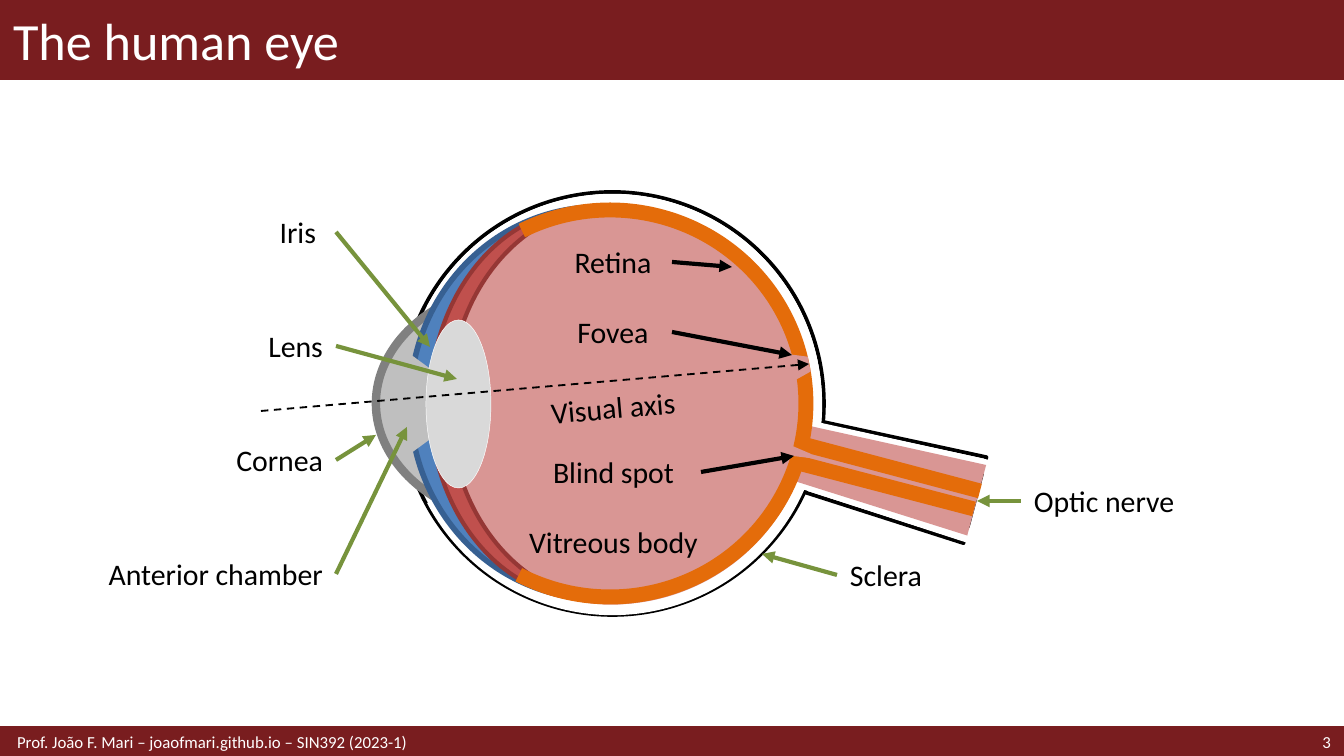
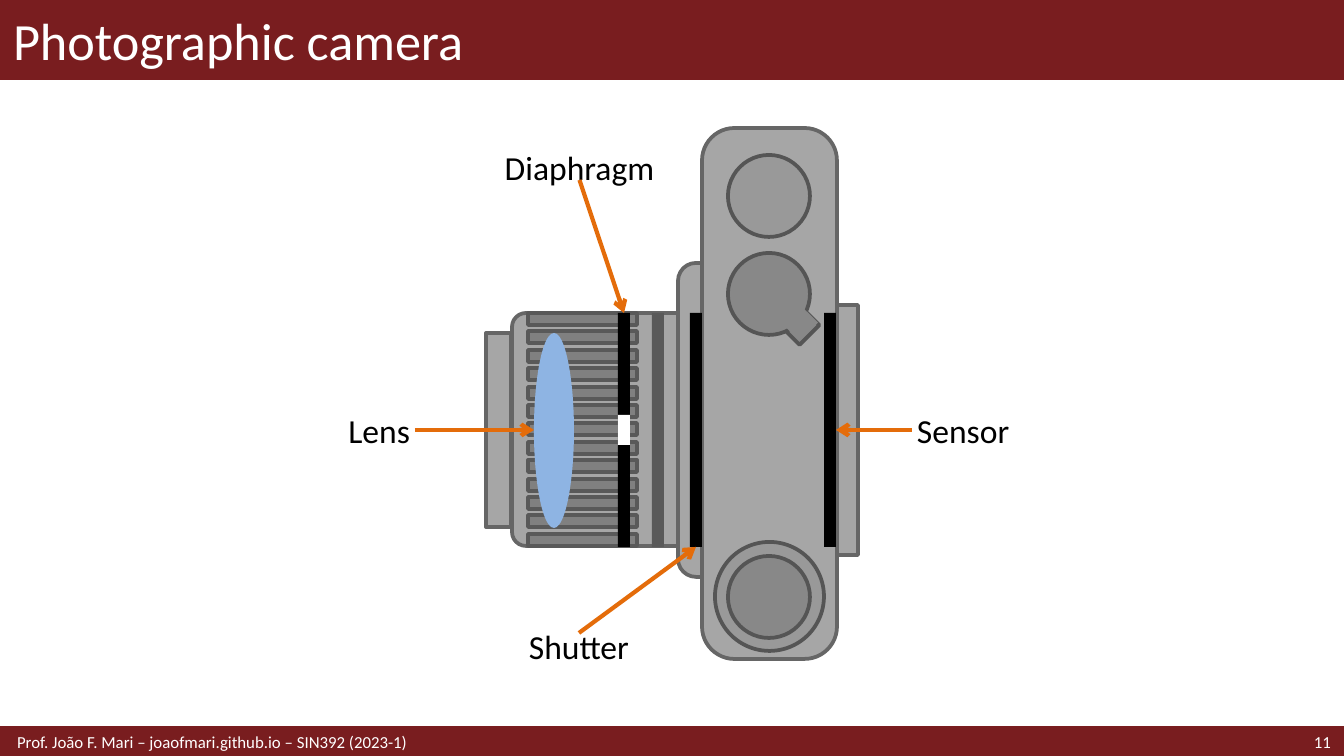
from dataclasses import dataclass

from lxml.etree import SubElement
from pptx import Presentation
from pptx.dml.color import RGBColor
from pptx.enum.dml import MSO_LINE
from pptx.enum.shapes import MSO_CONNECTOR, MSO_SHAPE as Kind
from pptx.enum.text import MSO_ANCHOR, MSO_AUTO_SIZE, PP_ALIGN as Align
from pptx.oxml.ns import qn
from pptx.util import Pt

EMU_PER_PX = 914400 / 134.4
TOP, LEFT, BOTTOM, RIGHT = range(4)


@dataclass(frozen=True)
class Theme:
    """Colours, font and type sizes of the deck."""

    font: str = "Calibri"
    title_size: int = 28
    footer_size: int = 9
    eye_size: int = 16
    camera_size: int = 18
    maroon: str = "791D1F"
    white: str = "FFFFFF"
    black: str = "000000"
    orange: str = "E46C0A"
    green: str = "77933C"
    pink: str = "D99694"
    blue: str = "4F81BD"
    dark_blue: str = "376092"
    red: str = "C0504D"
    dark_red: str = "953735"
    cornea: str = "808080"
    chamber: str = "BFBFBF"
    eye_lens: str = "D9D9D9"
    casing: str = "A6A6A6"
    casing_edge: str = "666666"
    dial: str = "999999"
    knob: str = "888888"
    dial_edge: str = "555555"
    ridge: str = "808080"
    ridge_edge: str = "595959"
    glass: str = "8EB4E3"


THEME = Theme()


def px(length):
    """Turn pixels into EMU."""
    return round(length * EMU_PER_PX)


def rgb(code):
    """Turn a hex code into a colour."""
    return RGBColor.from_string(code)


def write_text(frame, text, *, size, color=THEME.black, align=Align.LEFT, insets=(13, 7, 13, 7)):
    """Fill a text frame with one formatted paragraph."""
    frame.word_wrap = True
    frame.auto_size = MSO_AUTO_SIZE.NONE
    frame.vertical_anchor = MSO_ANCHOR.MIDDLE
    frame.margin_left, frame.margin_top, frame.margin_right, frame.margin_bottom = map(px, insets)
    para = frame.paragraphs[0]
    para.alignment = align
    span = para.add_run()
    span.text = text
    span.font.name = THEME.font
    span.font.size = Pt(size)
    span.font.color.rgb = rgb(color)


@dataclass
class Region:
    """A box on a page that places parts relative to its corner."""

    page: object
    left: int
    top: int
    width: int
    height: int

    def place(self, x, y, width, height):
        """Give the page position of a part in EMU."""
        return px(self.left + x), px(self.top + y), px(width), px(height)

    def shape(self, kind, box, fill=None, line=None, weight=2, turn=0, adjust=()):
        """Add a preset shape."""
        shape = self.page.shapes.add_shape(kind, *self.place(*box))
        shape.shadow.inherit = False
        shape.rotation = turn
        for index, value in enumerate(adjust):
            shape.adjustments[index] = value
        if fill:
            shape.fill.solid()
            shape.fill.fore_color.rgb = rgb(fill)
        else:
            shape.fill.background()
        if line:
            shape.line.color.rgb = rgb(line)
            shape.line.width = Pt(weight)
        else:
            shape.line.fill.background()
        return shape

    def arc(self, box, start, end, line, weight):
        """Add an open arc running clockwise between two angles in degrees."""
        self.shape(Kind.ARC, box, None, line, weight, adjust=(start * 0.6, end * 0.6))

    def label(self, text, box, turn=0, **style):
        """Add a text box."""
        label = self.page.shapes.add_textbox(*self.place(*box))
        label.rotation = turn
        write_text(label.text_frame, text, **style)
        return label

    def line(self, start, end, color, weight, tip=None, dash=None):
        """Add a straight line between points or (shape, side) joints."""
        joints = [not isinstance(stop[0], int) for stop in (start, end)]
        spots = [(0, 0) if joint else self.place(*stop, 0, 0)[:2]
                 for joint, stop in zip(joints, (start, end))]
        link = self.page.shapes.add_connector(MSO_CONNECTOR.STRAIGHT, *spots[0], *spots[1])
        if joints[0]:
            link.begin_connect(*start)
        if joints[1]:
            link.end_connect(*end)
        link.line.color.rgb = rgb(color)
        link.line.width = Pt(weight)
        if dash:
            link.line.dash_style = dash
        properties = link.element.spPr
        if tip:
            SubElement(properties.get_or_add_ln(), qn("a:tailEnd"), type=tip)
        SubElement(properties, qn("a:effectLst"))


def add_bands(page):
    """Draw the top and bottom bands and hand them to the page's layout."""
    layout = page.slide_layout
    for holder in list(layout.placeholders):
        if holder.placeholder_format.idx >= 10:
            holder.element.getparent().remove(holder.element)
    sheet = Region(page, 0, 0, 1344, 756)
    bands = [
        sheet.shape(Kind.RECTANGLE, (0, 0, 1344, 79), THEME.maroon, THEME.maroon, 1),
        sheet.shape(Kind.RECTANGLE, (0, 728, 1344, 28), THEME.maroon, THEME.maroon, 2),
    ]
    for band in bands:
        layout.shapes.element.append(band.element)


def add_page(deck, title, number):
    """Add a page with title and footer and return its content region."""
    page = deck.slides.add_slide(deck.slide_layouts[5])
    if len(deck.slides) == 1:
        add_bands(page)
    sheet = Region(page, 0, 0, 1344, 756)
    heading = page.shapes.title
    heading.left, heading.top, heading.width, heading.height = sheet.place(0, 0, 1344, 79)
    write_text(heading.text_frame, title, size=THEME.title_size, color=THEME.white)
    footer = dict(size=THEME.footer_size, color=THEME.white)
    sheet.label(number, (1191, 728, 153, 28), align=Align.RIGHT, **footer)
    sheet.label("Prof. João F. Mari – joaofmari.github.io – SIN392 (2023-1)",
                (4, 728, 922, 28), **footer)
    return Region(page, 0, 80, 1344, 646)


def draw_eyeball(area):
    """Draw the cross-section of the eye, from the sclera inwards."""
    area.shape(Kind.TRAPEZOID, (829, 288, 89, 210), THEME.white, THEME.black, turn=285, adjust=[0.115])
    area.shape(Kind.OVAL, (401, 112, 423, 423), THEME.white, THEME.black)
    area.shape(Kind.OVAL, (376, 202, 306, 243), THEME.chamber, THEME.black)
    area.arc((407, 118, 411, 413), 208, 152, THEME.white, 4.5)
    for left, width in ((419, 386), (442, 340)):
        area.shape(Kind.OVAL, (left, 131, width, 386), THEME.pink, THEME.pink, 8)
    area.arc((376, 202, 323, 243), 130, 229, THEME.cornea, 4.5)
    area.shape(Kind.MOON, (410, 127, 188, 392), THEME.blue, THEME.dark_blue, 3, adjust=[0.115])
    area.shape(Kind.TRAPEZOID, (372, 306, 105, 36), THEME.chamber, turn=90, adjust=[0.73])
    area.line((992, 463), (789, 397), THEME.white, 8)
    area.line((1027, 396), (805, 347), THEME.white, 8)
    area.shape(Kind.TRAPEZOID, (848, 300, 73, 191), THEME.pink, turn=285, adjust=[0.115])
    area.line((974, 429), (802, 384), THEME.orange, 8)
    area.shape(Kind.MOON, (430, 128, 159, 391), THEME.red, THEME.dark_red, 2.25, adjust=[0.12])
    area.arc((414, 130, 392, 387), 243, 118, THEME.orange, 8)
    area.shape(Kind.OVAL, (426, 240, 65, 168), THEME.eye_lens, THEME.white, 0.25)
    area.shape(Kind.TRAPEZOID, (777, 272, 35, 30), THEME.pink, turn=79, adjust=[0.33])
    area.line((261, 331), (809, 284), THEME.black, 1, "triangle", MSO_LINE.DASH)
    area.line((980, 411), (806, 365), THEME.orange, 8)
    area.shape(Kind.TRAPEZOID, (789, 357, 13, 30), THEME.pink, turn=105, adjust=[0.33])


def label_eye(area):
    """Name the parts of the eye and point at them."""
    size = THEME.eye_size

    def point(label, side, tip, color):
        area.line((label, side), tip, color, 2.25, "triangle")

    front = [("Iris", 20, (430, 267)), ("Lens", 13, (457, 299)),
             ("Cornea", 13, (376, 355)), ("Anterior chamber", 13, (407, 347))]
    for row, (text, gap, tip) in enumerate(front):
        label = area.label(text, (90, 131 + 114 * row, 246, 42), size=size,
                           align=Align.RIGHT, insets=(13, 7, gap, 7))
        point(label, RIGHT, tip, THEME.green)

    inside = [("Retina", 118, 161, 0, (732, 187)), ("Fovea", 118, 231, 0, (792, 275)),
              ("Visual axis", 208, 306, 355, None), ("Blind spot", 175, 371, 0, (794, 376)),
              ("Vitreous body", 211, 441, 0, None)]
    for text, width, top, turn, tip in inside:
        label = area.label(text, (613 - width // 2, top, width, 42), turn,
                           size=size, align=Align.CENTER)
        if tip:
            point(label, RIGHT, tip, THEME.black)

    back = [("Optic nerve", (1021, 400, 180, 42), (977, 421)),
            ("Sclera", (837, 474, 134, 42), (762, 474))]
    for text, box, tip in back:
        point(area.label(text, box, size=size), LEFT, tip, THEME.green)


def draw_camera(area):
    """Draw the camera from above and return the parts that get labels."""
    casing = (THEME.casing, THEME.casing_edge)
    knob = (THEME.knob, THEME.dial_edge)
    area.shape(Kind.RECTANGLE, (486, 253, 25, 194), *casing)
    area.shape(Kind.ROUNDED_RECTANGLE, (512, 233, 241, 233), *casing, adjust=[0.06])
    area.shape(Kind.RECTANGLE, (750, 225, 108, 250), *casing)
    area.shape(Kind.ROUNDED_RECTANGLE, (678, 183, 108, 314), *casing)
    area.shape(Kind.ROUNDED_RECTANGLE, (702, 48, 135, 531), *casing, adjust=[0.24])
    area.shape(Kind.OVAL, (728, 75, 82, 82), THEME.dial, THEME.dial_edge)
    area.shape(Kind.RECTANGLE, (786, 232, 28, 27), *knob, turn=315)
    area.shape(Kind.OVAL, (715, 462, 109, 109), THEME.dial, THEME.dial_edge)
    for top in (476, 173):
        area.shape(Kind.OVAL, (728, top, 82, 82), *knob)
    area.shape(Kind.RECTANGLE, (786, 228, 26, 28), THEME.knob, turn=315)
    for row in range(13):
        area.shape(Kind.RECTANGLE, (528, 233 + round(18.4 * row), 109, 12),
                   THEME.ridge, THEME.ridge_edge)

    def bar(left, color):
        return area.shape(Kind.RECTANGLE, (left, 233, 12, 234), color)

    bar(652, THEME.ridge_edge)
    area.shape(Kind.OVAL, (534, 253, 40, 195), THEME.glass)
    shutter, diaphragm, sensor = [bar(left, THEME.black) for left in (690, 618, 824)]
    area.shape(Kind.RECTANGLE, (618, 335, 12, 30), THEME.white)
    return shutter, diaphragm, sensor


def label_camera(area, shutter, diaphragm, sensor):
    """Name the parts of the camera and point at them."""
    names = [
        ("Lens", (309, 337, 106, 26), Align.RIGHT, RIGHT, (534, 350)),
        ("Shutter", (500, 553, 158, 26), Align.CENTER, TOP, (shutter, BOTTOM)),
        ("Diaphragm", (481, 74, 197, 26), Align.CENTER, BOTTOM, (diaphragm, TOP)),
        ("Sensor", (912, 337, 106, 26), Align.LEFT, LEFT, (sensor, RIGHT)),
    ]
    for text, box, align, side, target in names:
        label = area.label(text, box, size=THEME.camera_size, align=align, insets=(5, 5, 5, 5))
        area.line((label, side), target, THEME.orange, 2.25, "arrow")


def main():
    """Build both pages and save the deck."""
    deck = Presentation()
    deck.slide_width, deck.slide_height = px(1344), px(756)
    eye = add_page(deck, "The human eye", "3")
    draw_eyeball(eye)
    label_eye(eye)
    camera = add_page(deck, "Photographic camera", "11")
    label_camera(camera, *draw_camera(camera))
    deck.save("out.pptx")


if __name__ == "__main__":
    main()
